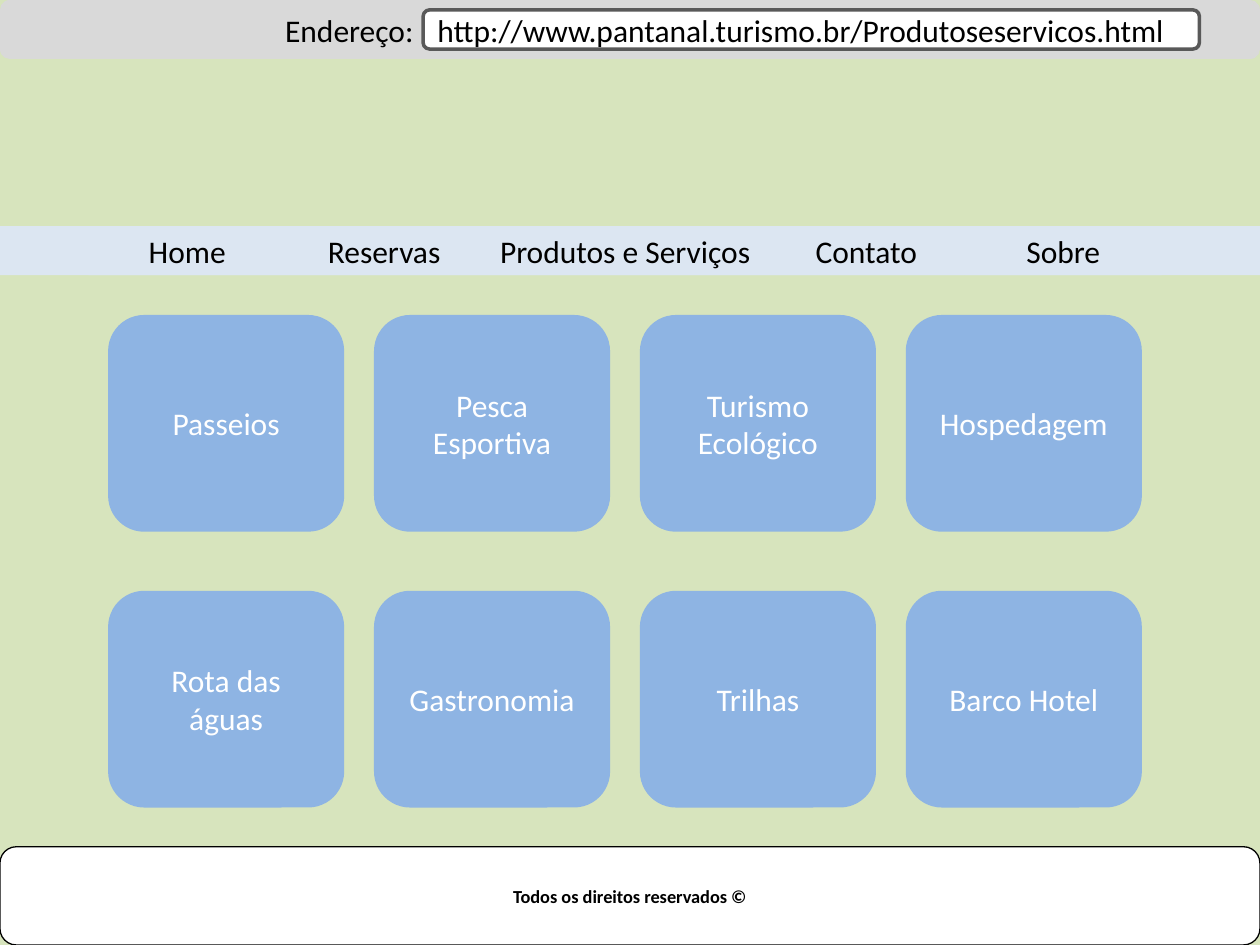
from dataclasses import dataclass

from pptx import Presentation
from pptx.dml.color import RGBColor
from pptx.enum.shapes import MSO_SHAPE
from pptx.enum.text import MSO_ANCHOR, PP_ALIGN
from pptx.util import Cm, Pt


@dataclass(frozen=True)
class Theme:
    font: str = "Calibri"
    body_size: float = 18
    footer_size: float = 10.5
    background: str = "D7E4BD"
    browser_bar: str = "D9D9D9"
    address_line: str = "595959"
    menu: str = "DCE6F2"
    card: str = "8EB4E3"
    white: str = "FFFFFF"
    black: str = "000000"


theme = Theme()


def write_text(shape, text, color=theme.black, size=theme.body_size,
               bold=False, align=PP_ALIGN.CENTER, inset=0.25):
    frame = shape.text_frame
    frame.word_wrap = True
    frame.vertical_anchor = MSO_ANCHOR.MIDDLE
    frame.margin_left = Cm(inset)
    para = frame.paragraphs[0]
    para.alignment = align
    span = para.add_run()
    span.text = text
    span.font.name = theme.font
    span.font.size = Pt(size)
    span.font.bold = bold
    span.font.color.rgb = RGBColor.from_string(color)


class PageBuilder:
    def __init__(self, page, style):
        self.page = page
        self.style = style

    def background(self):
        fill = self.page.background.fill
        fill.solid()
        fill.fore_color.rgb = RGBColor.from_string(self.style.background)

    def shape(self, kind, left, top, width, height, fill, line, weight):
        box = self.page.shapes.add_shape(
            kind, Cm(left), Cm(top), Cm(width), Cm(height))
        box.shadow.inherit = False
        box.fill.solid()
        box.fill.fore_color.rgb = RGBColor.from_string(fill)
        if line:
            box.line.color.rgb = RGBColor.from_string(line)
            box.line.width = Pt(weight)
        else:
            box.line.fill.background()
        return box

    def rectangle(self, left, top, width, height, fill):
        return self.shape(MSO_SHAPE.RECTANGLE, left, top, width, height,
                          fill, None, 0)

    def rounded(self, left, top, width, height, fill, line=None, weight=0):
        return self.shape(MSO_SHAPE.ROUNDED_RECTANGLE, left, top, width,
                          height, fill, line, weight)


PAGE_WIDTH, PAGE_HEIGHT = 25.4, 19.05
deck = Presentation()
deck.slide_width, deck.slide_height = Cm(PAGE_WIDTH), Cm(PAGE_HEIGHT)
builder = PageBuilder(deck.slides.add_slide(deck.slide_layouts[6]), theme)
builder.background()

# Browser bar with the address field
browser_bar = builder.rounded(0, 0, PAGE_WIDTH, 1.19, theme.browser_bar)
write_text(browser_bar, "Endereço:", align=PP_ALIGN.LEFT, inset=5.69)
address = builder.rounded(8.53, 0.2, 15.65, 0.79, theme.white,
                          line=theme.address_line, weight=2)
write_text(address, "http://www.pantanal.turismo.br/Produtoseservicos.html",
           align=PP_ALIGN.LEFT)

# Footer
FOOTER_HEIGHT = 1.98
footer = builder.rounded(0, PAGE_HEIGHT - FOOTER_HEIGHT, PAGE_WIDTH,
                         FOOTER_HEIGHT, theme.white, line=theme.black)
write_text(footer, "Todos os direitos reservados ©",
           size=theme.footer_size, bold=True)

# Menu: items sit side by side on a full-width band
MENU_TOP, MENU_HEIGHT = 4.56, 0.99
ITEM_WIDTH, WIDE_ITEM_WIDTH = 3.97, 5.75
MENU = [("Home", ITEM_WIDTH), ("Reservas", ITEM_WIDTH),
        ("Produtos e Serviços", WIDE_ITEM_WIDTH),
        ("Contato", ITEM_WIDTH), ("Sobre", ITEM_WIDTH)]
builder.rectangle(0, MENU_TOP, PAGE_WIDTH, MENU_HEIGHT, theme.menu)
item_left = 1.79
for label, item_width in MENU:
    item = builder.rectangle(item_left, MENU_TOP, item_width, MENU_HEIGHT,
                             theme.menu)
    write_text(item, label)
    item_left += item_width

# Grid of product and service cards
CARDS = [["Passeios", "Pesca Esportiva", "Turismo Ecológico", "Hospedagem"],
         ["Rota das águas", "Gastronomia", "Trilhas", "Barco Hotel"]]
GRID_LEFT, GRID_TOP = 2.18, 6.35
CARD_WIDTH, CARD_HEIGHT = 4.76, 4.37
COLUMN_GAP, ROW_GAP = 0.6, 1.19
for row, labels in enumerate(CARDS):
    for column, label in enumerate(labels):
        card = builder.rounded(GRID_LEFT + column * (CARD_WIDTH + COLUMN_GAP),
                               GRID_TOP + row * (CARD_HEIGHT + ROW_GAP),
                               CARD_WIDTH, CARD_HEIGHT, theme.card)
        write_text(card, label, color=theme.white)

deck.save("out.pptx")
